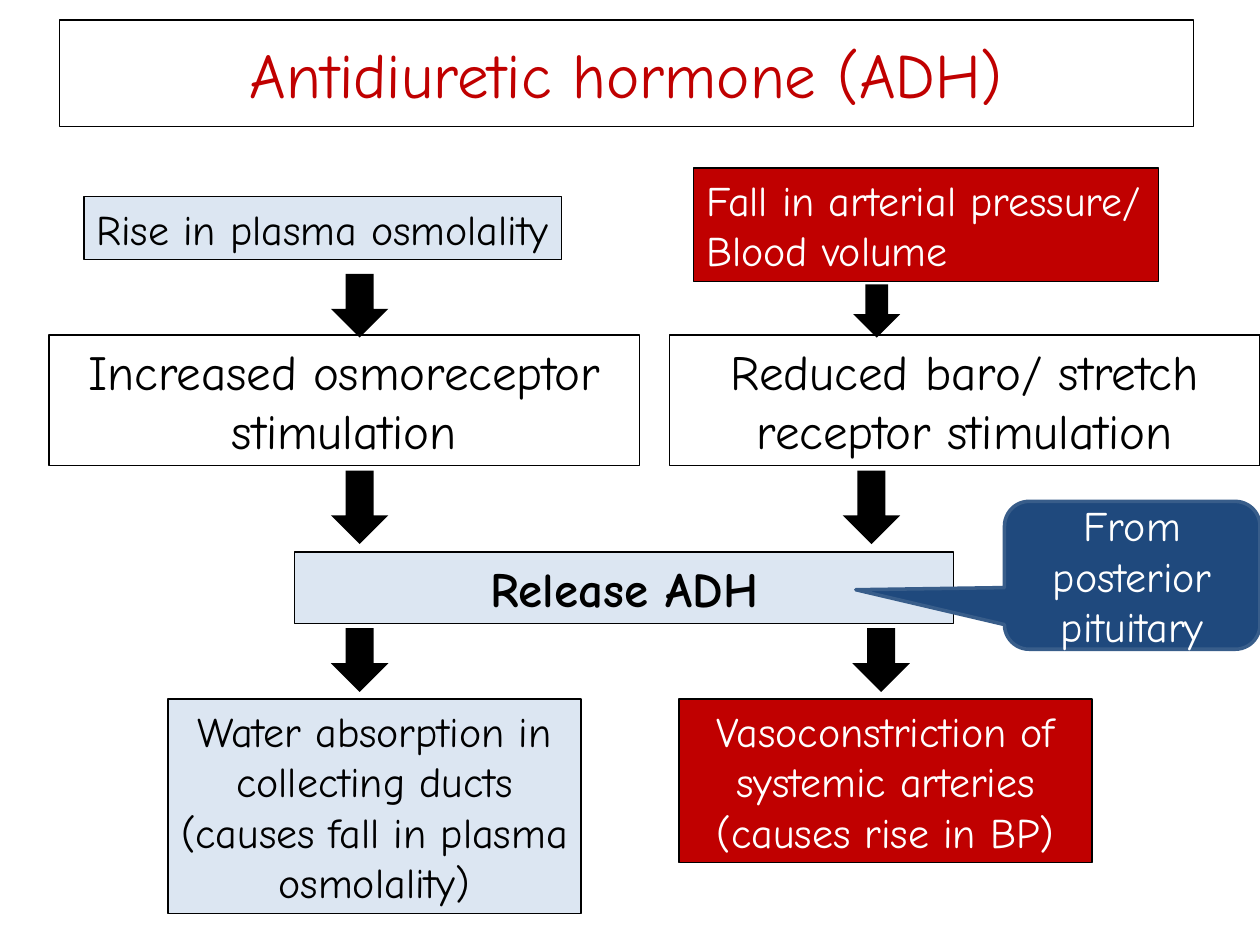
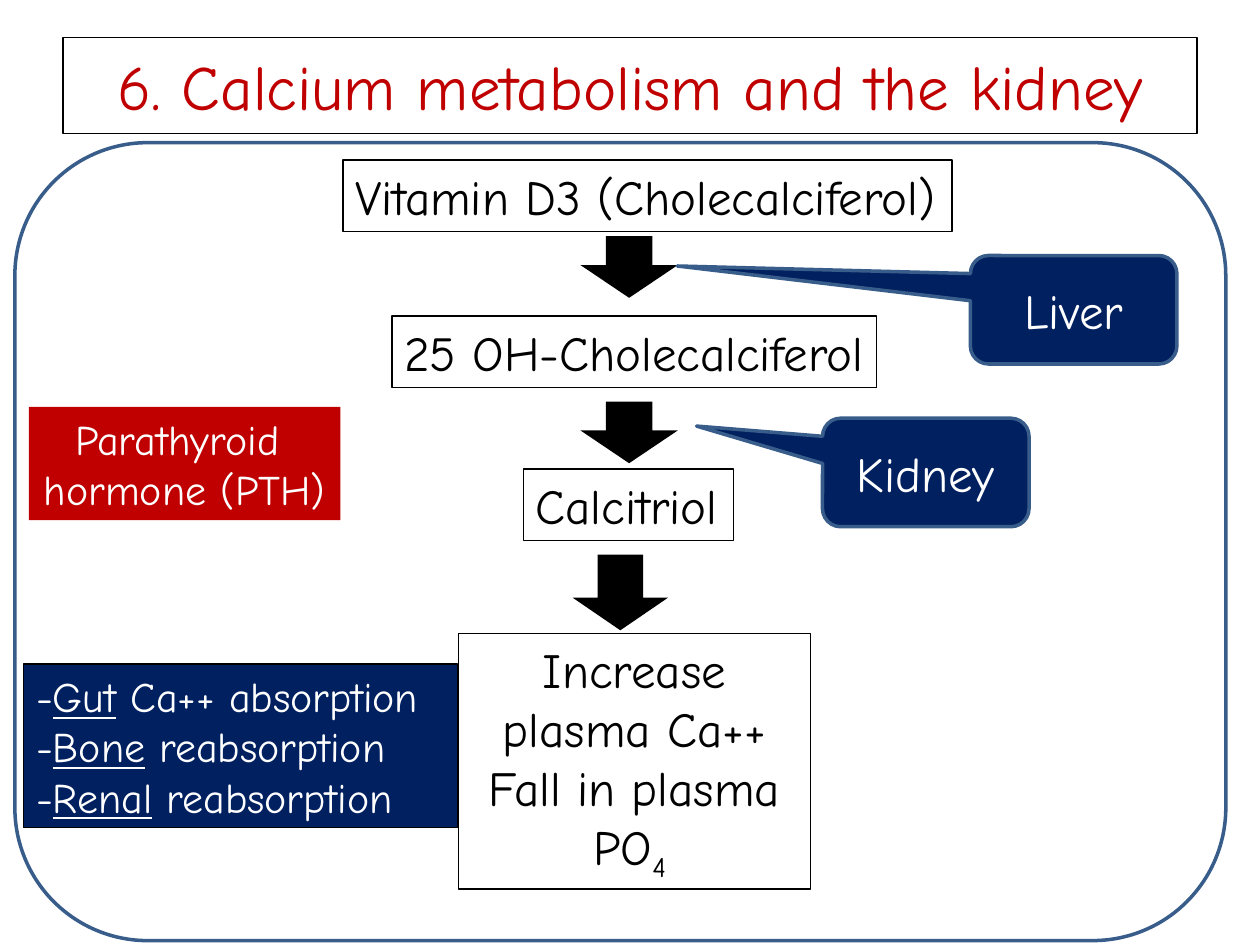
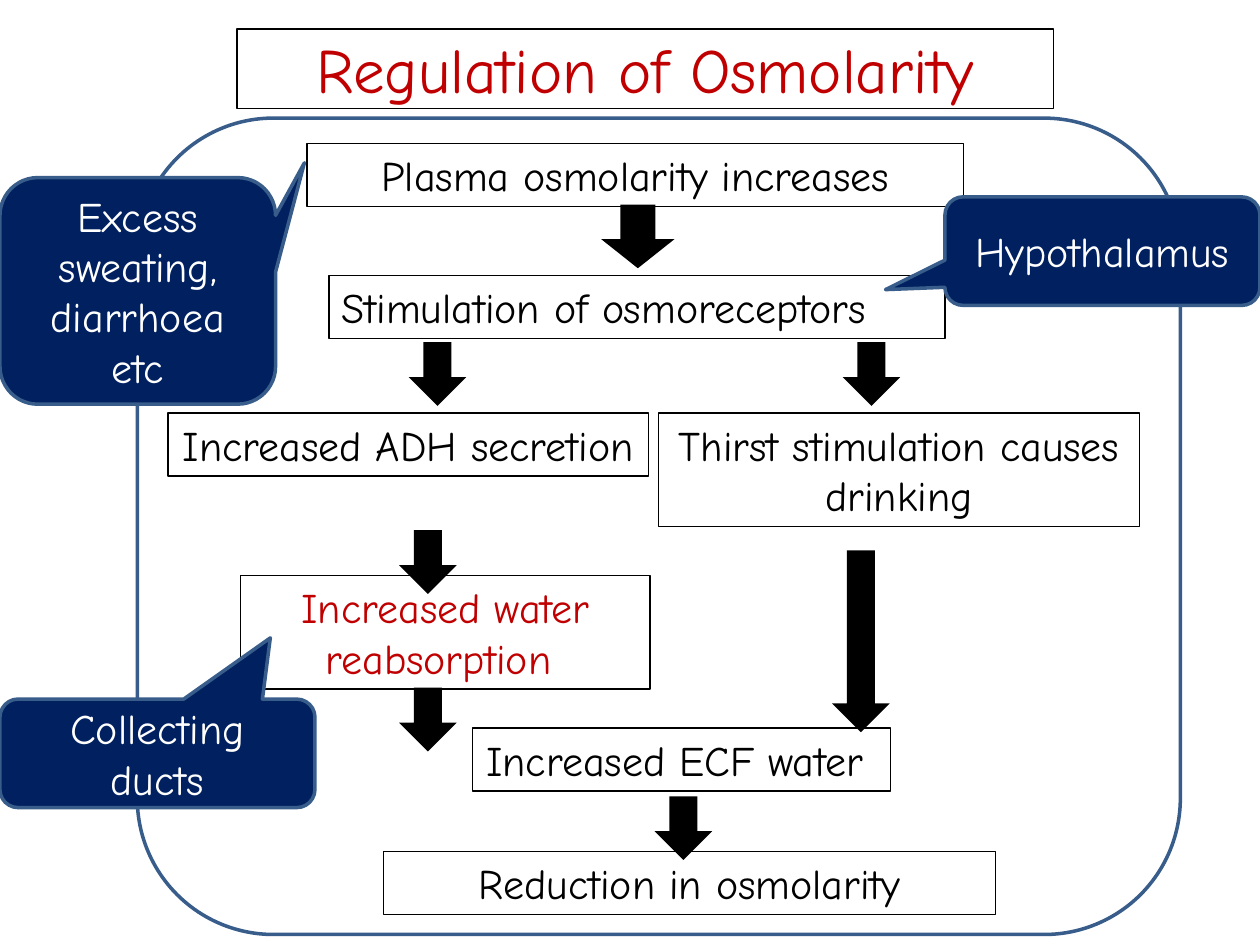
import lxml.etree
import pptx
import pptx.util
import pptx.dml.color
import pptx.enum.shapes
import pptx.enum.text
import pptx.oxml.ns

Pt = pptx.util.Pt
Shape = pptx.enum.shapes.MSO_SHAPE
Align = pptx.enum.text.PP_ALIGN
Anchor = pptx.enum.text.MSO_ANCHOR
AutoSize = pptx.enum.text.MSO_AUTO_SIZE


class Theme:
    font = "Comic Neue"
    black, white, red = "000000", "FFFFFF", "C00000"
    pale, blue, navy, edge = "DCE6F2", "1F497D", "002060", "385D8A"
    title, large, body = 36, 28, 24
    thin, thick = 0.75, 2
    inset_x, inset_y = 7.2, 3.6
    leading = 1.2


# Box styles: fill, text colour, outline colour
STYLES = {
    "plain": (None, Theme.black, Theme.black),
    "stress": (None, Theme.red, Theme.black),
    "pale": (Theme.pale, Theme.black, Theme.black),
    "red": (Theme.red, Theme.white, Theme.black),
    "red bare": (Theme.red, Theme.white, None),
    "navy": (Theme.navy, Theme.white, Theme.black),
}

# Content. A paragraph is a string or a list of (text, mark) runs.
# boxes: paragraphs, left, top, width, lines, size, style, options
# arrows: centre, top, width, height, head ratio
# callouts: text, left, top, width, height, tip, size, fill
BODY, LARGE = Theme.body, Theme.large
SLIDES = [
    {
        "title": ("Antidiuretic hormone (ADH)", 34, 11.5, 648, 61),
        "boxes": [
            (["Rise in plasma osmolality"], 48, 112.5, 273, 1, BODY, "pale", "left nowrap"),
            (["Fall in arterial pressure/", "Blood volume"],
             396.5, 96, 265.5, 2, BODY, "red", "left nowrap"),
            (["Increased osmoreceptor stimulation"], 28, 191.5, 337.5, 2, LARGE, "plain", ""),
            (["Reduced baro/ stretch receptor stimulation"],
             382.5, 191.5, 337.5, 2, LARGE, "plain", ""),
            (["Release ADH"], 168.5, 315.5, 376.5, 1, LARGE, "pale", "bold"),
            (["Water absorption in collecting ducts (causes fall in plasma osmolality)"],
             96, 399.5, 236, 4, BODY, "pale", ""),
            (["Vasoconstriction of systemic arteries (causes rise in BP)"],
             388, 399.5, 236, 3, BODY, "red", ""),
        ],
        "arrows": [
            (205.5, 157.5, 28, 34, 0.5), (205.5, 270, 28, 39.5, 0.5),
            (205.5, 360, 28, 34, 0.5), (501, 163.5, 22, 28, 0.5),
            (498, 270, 28, 39.5, 0.5), (503.5, 360, 28, 34, 0.5),
        ],
        "callouts": [
            ("From posterior pituitary", 574, 286.5, 146, 84.5, (489, 337), BODY, Theme.blue),
        ],
    },
    {
        "title": ("6. Calcium metabolism and the kidney", 36, 21.5, 648, 55),
        "frame": (8.5, 81.5, 692, 456),
        "boxes": [
            (["Vitamin D3 (Cholecalciferol)"], 196, 91.5, 348, 1, LARGE, "plain", "left nowrap"),
            (["25 OH-Cholecalciferol"], 224, 180.5, 277, 1, LARGE, "plain", "left nowrap"),
            (["Calcitriol"], 299, 268, 120, 1, LARGE, "plain", "left nowrap"),
            (["Increase plasma Ca++", [("Fall in plasma PO", ""), ("4 ", "sub")]],
             262, 362, 201, 4.13, LARGE, "plain", ""),
            ([[("-", ""), ("Gut", "underline"), (" Ca++ absorption", "")],
              [("-", ""), ("Bone", "underline"), (" reabsorption", "")],
              [("-", ""), ("Renal", "underline"), (" reabsorption", "")]],
             13.5, 379.5, 248, 3, BODY, "navy", "left"),
            (["Parathyroid ", "hormone (PTH)"], 16.5, 232.5, 178, 2, BODY, "red bare", "nowrap"),
        ],
        "arrows": [
            (359.5, 136, 49, 33, 0.5), (359.5, 230.5, 49, 33, 0.5),
            (354.5, 318, 48, 41, 0.4),
        ],
        "callouts": [
            ("Liver", 554.5, 146, 118, 62, (387, 152), LARGE, Theme.navy),
            ("Kidney", 470, 239, 118, 62, (398, 243.5), LARGE, Theme.navy),
        ],
    },
    {
        "title": ("Regulation of Osmolarity", 135.5, 16.5, 466.5, 45.5),
        "frame": (78.5, 67.5, 596, 466.5),
        "boxes": [
            (["Plasma osmolarity increases"], 175.5, 82, 375, 1, BODY, "plain", ""),
            (["Stimulation of osmoreceptors"], 188, 157.5, 352, 1, BODY, "plain", "left"),
            (["Increased ADH secretion"], 96, 236, 274.5, 1, BODY, "plain", ""),
            (["Thirst stimulation causes drinking"], 376.5, 236, 274.5, 2, BODY, "plain", ""),
            (["Increased water reabsorption "], 137.5, 329, 234, 2, BODY, "stress", ""),
            (["Increased ECF water "], 270, 416, 239, 1, BODY, "plain", "nowrap"),
            (["Reduction in osmolarity"], 219, 486.5, 350, 1, BODY, "plain", ""),
        ],
        "arrows": [
            (364.5, 118, 36, 34, 0.42), (250, 196.5, 28, 34, 0.5),
            (498, 196.5, 28, 34, 0.5), (244.5, 304, 28, 34, 0.5),
            (492, 315.5, 28, 101.5, 0.5), (244.5, 394, 28, 34, 0.5),
            (390.5, 456, 28, 34, 0.5),
        ],
        "callouts": [
            ("Excess sweating, diarrhoea etc", 0, 101.5, 157.5, 129.5, (174, 93),
             BODY, Theme.navy),
            ("Hypothalamus", 540, 112.5, 180, 62, (506, 165.5), BODY, Theme.navy),
            ("Collecting ducts", 0, 399.5, 180, 62, (154.5, 364.5), BODY, Theme.navy),
        ],
    },
]


def color(code):
    return pptx.dml.color.RGBColor.from_string(code)


def paint(shape, fill, line, weight):
    shape.shadow.inherit = False
    if fill:
        shape.fill.solid()
        shape.fill.fore_color.rgb = color(fill)
    else:
        shape.fill.background()
    if line:
        shape.line.color.rgb = color(line)
        shape.line.width = Pt(weight)
    else:
        shape.line.fill.background()


def add_outline(page, kind, left, top, width, height, fill, line, weight):
    shape = page.shapes.add_shape(kind, Pt(left), Pt(top), Pt(width), Pt(height))
    paint(shape, fill, line, weight)
    return shape


def write(shape, paragraphs, size, ink, options="", anchor=Anchor.MIDDLE):
    frame = shape.text_frame
    frame.word_wrap = "nowrap" not in options
    frame.vertical_anchor = anchor
    frame.margin_left = frame.margin_right = Pt(Theme.inset_x)
    frame.margin_top = frame.margin_bottom = Pt(Theme.inset_y)
    for index, content in enumerate(paragraphs):
        para = frame.add_paragraph() if index else frame.paragraphs[0]
        para.alignment = Align.LEFT if "left" in options else Align.CENTER
        para.font.name = Theme.font
        para.font.size = Pt(size)
        para.font.bold = "bold" in options
        para.font.color.rgb = color(ink)
        runs = [(content, "")] if isinstance(content, str) else content
        for text, mark in runs:
            span = para.add_run()
            span.text = text
            if mark == "underline":
                span.font.underline = True
            elif mark == "sub":
                span.font._element.set("baseline", "-25000")


def add_title(page, text, *place):
    box = add_outline(page, Shape.RECTANGLE, *place, None, Theme.black, Theme.thin)
    write(box, [text], Theme.title, Theme.red)


def add_box(page, paragraphs, left, top, width, lines, size, style, options):
    fill, ink, line = STYLES[style]
    height = 2 * Theme.inset_y + lines * size * Theme.leading
    box = page.shapes.add_textbox(Pt(left), Pt(top), Pt(width), Pt(height))
    paint(box, fill, line, Theme.thin)
    write(box, paragraphs, size, ink, options, Anchor.TOP)
    box.text_frame.auto_size = AutoSize.SHAPE_TO_FIT_TEXT


def add_arrow(page, centre, top, width, height, head):
    arrow = add_outline(page, Shape.DOWN_ARROW, centre - width / 2, top, width, height,
                        Theme.black, Theme.black, Theme.thick)
    arrow.adjustments[1] = head
    # Sharp corners
    qn = pptx.oxml.ns.qn
    outline = arrow._element.spPr.find(qn("a:ln"))
    lxml.etree.SubElement(outline, qn("a:miter")).set("lim", "800000")


def add_callout(page, text, left, top, width, height, tip, size, fill):
    callout = add_outline(page, Shape.ROUNDED_RECTANGULAR_CALLOUT, left, top, width, height,
                          fill, Theme.edge, Theme.thick)
    # The tip is measured from the centre, as a share of the size
    callout.adjustments[0] = (tip[0] - left) / width - 0.5
    callout.adjustments[1] = (tip[1] - top) / height - 0.5
    write(callout, [text], size, Theme.white)


def main():
    deck = pptx.Presentation()
    deck.slide_width, deck.slide_height = Pt(720), Pt(540)
    for content in SLIDES:
        page = deck.slides.add_slide(deck.slide_layouts[6])
        add_title(page, *content["title"])
        if "frame" in content:
            add_outline(page, Shape.ROUNDED_RECTANGLE, *content["frame"],
                        Theme.white, Theme.edge, Theme.thick)
        for box in content["boxes"]:
            add_box(page, *box)
        for arrow in content["arrows"]:
            add_arrow(page, *arrow)
        for callout in content["callouts"]:
            add_callout(page, *callout)
    deck.save("out.pptx")


if __name__ == "__main__":
    main()
